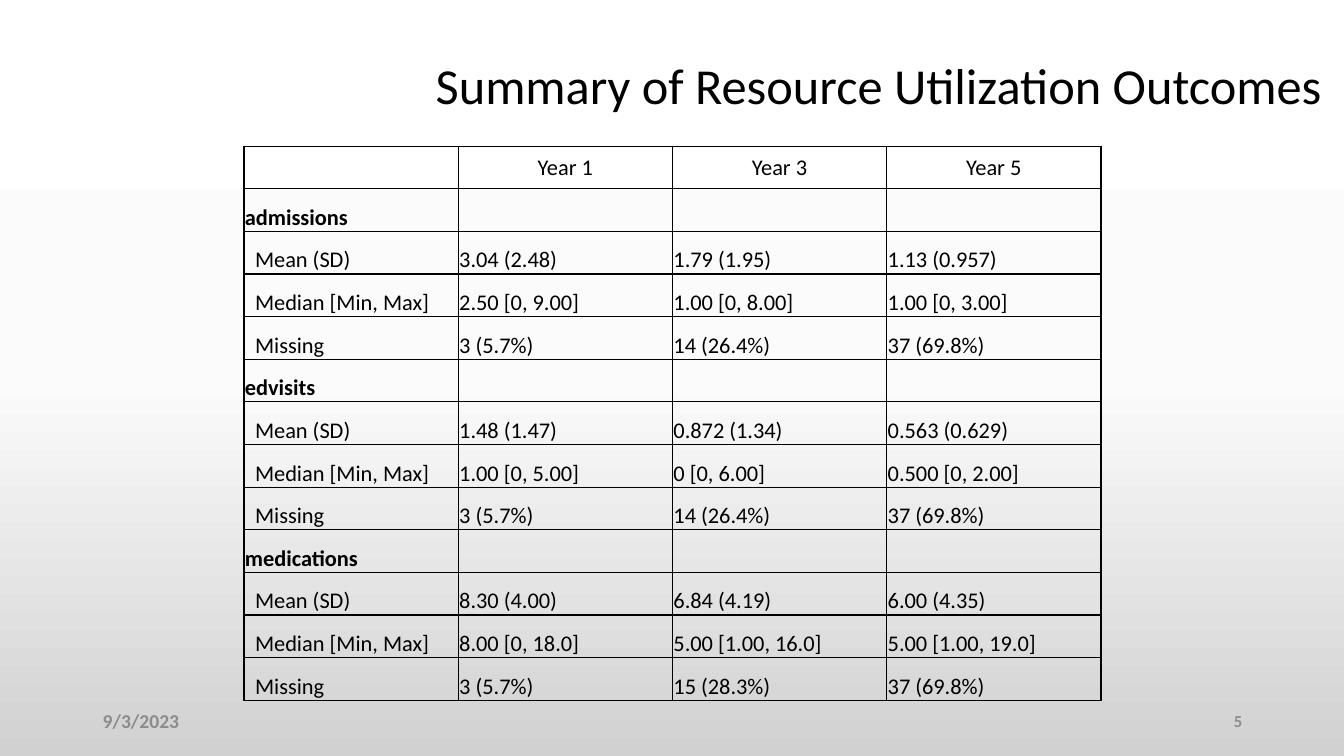
"""Build a slide with a table of resource utilization outcomes by year."""
from copy import deepcopy

from lxml import etree
from pptx import Presentation
from pptx.dml.color import RGBColor
from pptx.enum.text import MSO_ANCHOR, PP_ALIGN
from pptx.oxml.ns import qn
from pptx.util import Inches, Pt

LEFT, MID, RIGHT = PP_ALIGN.LEFT, PP_ALIGN.CENTER, PP_ALIGN.RIGHT
CENTER, BOTTOM = MSO_ANCHOR.MIDDLE, MSO_ANCHOR.BOTTOM

YEARS = ["Year 1", "Year 3", "Year 5"]
STATS = ["Mean (SD)", "Median [Min, Max]", "Missing"]
GROUPS = {
    "admissions": [
        ["3.04 (2.48)", "1.79 (1.95)", "1.13 (0.957)"],
        ["2.50 [0, 9.00]", "1.00 [0, 8.00]", "1.00 [0, 3.00]"],
        ["3 (5.7%)", "14 (26.4%)", "37 (69.8%)"],
    ],
    "edvisits": [
        ["1.48 (1.47)", "0.872 (1.34)", "0.563 (0.629)"],
        ["1.00 [0, 5.00]", "0 [0, 6.00]", "0.500 [0, 2.00]"],
        ["3 (5.7%)", "14 (26.4%)", "37 (69.8%)"],
    ],
    "medications": [
        ["8.30 (4.00)", "6.84 (4.19)", "6.00 (4.35)"],
        ["8.00 [0, 18.0]", "5.00 [1.00, 16.0]", "5.00 [1.00, 19.0]"],
        ["3 (5.7%)", "15 (28.3%)", "37 (69.8%)"],
    ],
}


def color(code):
    return RGBColor.from_string(code)


def write(frame, text, size=16, ink="000000", bold=False, align=LEFT, space=1.0):
    para = frame.paragraphs[0]
    para.alignment = align
    para.line_spacing = space
    run = para.add_run()
    run.text = text
    font = run.font
    font.name, font.size, font.bold = "Calibri", Pt(size), bold
    font.color.rgb = color(ink)


class Deck:
    def __init__(self):
        self.show = Presentation()
        self.show.slide_width = Inches(13.33)
        self.show.slide_height = Inches(7.5)
        self.slide = self.show.slides.add_slide(self.show.slide_layouts[6])
        self.line = "000000"
        self.pad = Inches(0.01)

    def shade(self, stops):
        fill = self.slide.background.fill
        fill.gradient()
        fill.gradient_angle = 270
        marks = self.slide.element.find(".//" + qn("a:gsLst"))
        while len(marks) < len(stops):
            marks.append(deepcopy(marks[0]))
        for mark, (place, code) in zip(fill.gradient_stops, stops):
            mark.position = place
            mark.color.rgb = color(code)

    def text(self, text, x, y, w, h, **style):
        box = self.slide.shapes.add_textbox(*map(Inches, (x, y, w, h)))
        frame = box.text_frame
        frame.word_wrap = True
        frame.vertical_anchor = CENTER
        write(frame, text, **style)

    def border(self, cell):
        props = cell._tc.get_or_add_tcPr()
        for side in "LRTB":
            edge = etree.SubElement(props, qn("a:ln" + side), w=str(Pt(1)))
            fill = etree.SubElement(edge, qn("a:solidFill"))
            etree.SubElement(fill, qn("a:srgbClr"), val=self.line)

    def cell(self, cell, text, anchor=BOTTOM, indent=0.01, **style):
        self.border(cell)
        cell.fill.background()
        cell.margin_left = Inches(indent)
        cell.margin_right = cell.margin_top = self.pad
        cell.margin_bottom = 0
        cell.vertical_anchor = anchor
        if text:
            write(cell.text_frame, text, **style)

    def table(self, x, y, w, h):
        rows = [["", *YEARS]]
        for name, data in GROUPS.items():
            rows.append([name, "", "", ""])
            rows += [[stat, *vals] for stat, vals in zip(STATS, data)]
        frame = self.slide.shapes.add_table(
            len(rows), len(rows[0]), *map(Inches, (x, y, w, h)))
        grid = frame.table
        grid.first_row = grid.horz_banding = False
        for i, row in enumerate(rows):
            grid.rows[i].height = Inches(h / len(rows))
            for j, text in enumerate(row):
                style = {}
                if i == 0:
                    style = {"anchor": CENTER, "align": MID}
                elif text in GROUPS:
                    style = {"bold": True}
                elif j == 0:
                    style = {"indent": 0.11}
                self.cell(grid.cell(i, j), text, **style)


def main():
    deck = Deck()
    deck.shade([(0, "FFFFFF"), (0.5, "FBFBFB"), (1, "D1D1D1")])
    deck.text("9/3/2023", 0.92, 6.95, 3, 0.4, size=14, ink="8C8C8C", bold=True)
    deck.text("5", 9.42, 6.95, 3, 0.4, size=12, ink="8C8C8C", bold=True,
              align=RIGHT)
    deck.text("Summary of Resource Utilization Outcomes", 1.71, 0.15, 11.5, 1.45,
              size=36, align=RIGHT, space=0.9)
    deck.table(2.42, 1.45, 8.5, 5.5)
    deck.show.save("out.pptx")


if __name__ == "__main__":
    main()
